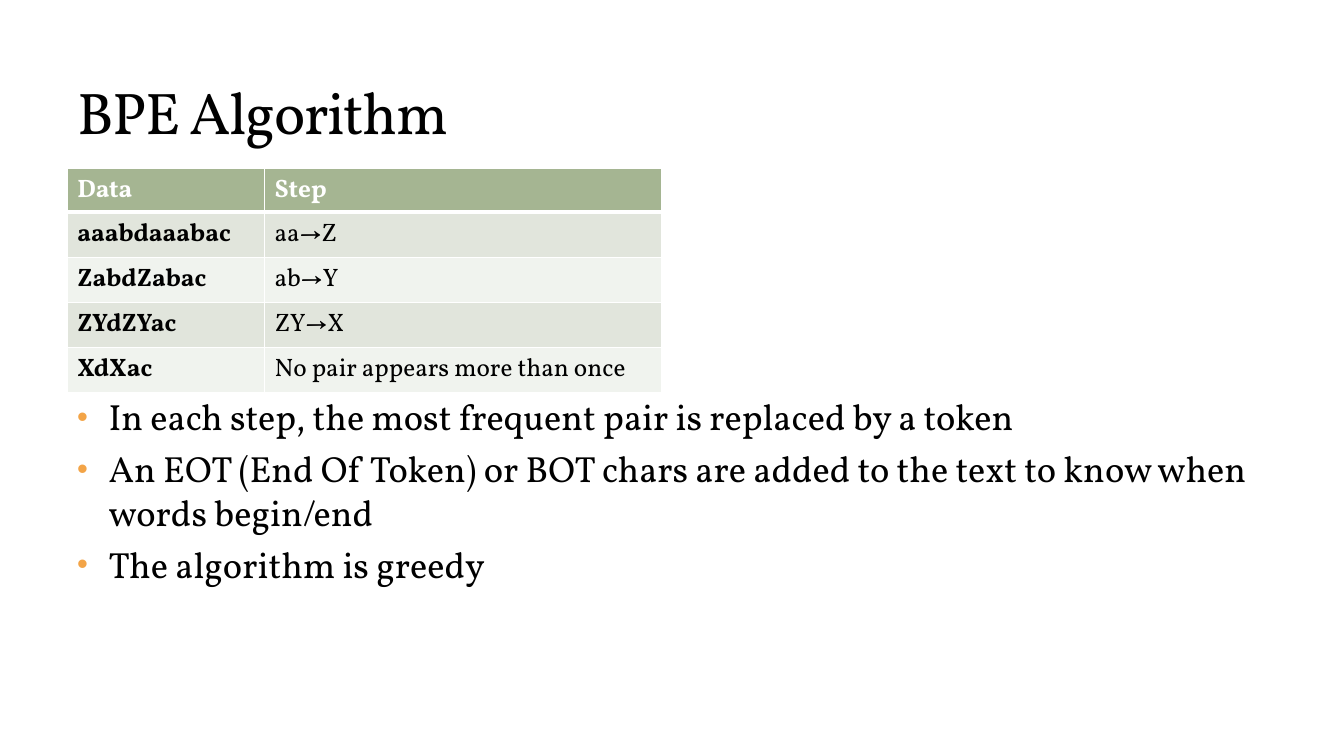
"""Build the BPE Algorithm slide: a merge-step table above three bullets."""
from lxml import etree
from pptx import Presentation
from pptx.dml.color import RGBColor
from pptx.enum.text import MSO_ANCHOR, PP_ALIGN
from pptx.oxml.ns import qn
from pptx.util import Pt

PX = 9525
FONT = "Vollkorn"
LEFT, BOTTOM = PP_ALIGN.LEFT, MSO_ANCHOR.BOTTOM
COLORS = {"text": "000000", "white": "FFFFFF", "header": "A5B592",
          "odd": "E1E5DC", "even": "F0F3EE", "bullet": "F3A447"}
STEPS = [
    ("Data", "Step"),
    ("aaabdaaabac", "aa→Z"),
    ("ZabdZabac", "ab→Y"),
    ("ZYdZYac", "ZY→X"),
    ("XdXac", "No pair appears more than once"),
]
BULLETS = [
    "In each step, the most frequent pair is replaced by a token",
    "An EOT (End Of Token) or BOT chars are added to the text to know when words begin/end",
    "The algorithm is greedy",
]
COLUMN_WIDTHS = [188, 378]
HEADER_HEIGHT, ROW_HEIGHT = 42, 43
INDENT = 30


def write(paragraph, text, size, color="text", bold=False):
    run = paragraph.add_run()
    run.text = text
    formats = {"name": FONT, "size": Pt(size), "bold": bold}
    for name, value in formats.items():
        setattr(run.font, name, value)
    run.font.color.rgb = RGBColor.from_string(COLORS[color])
    return run


def add_text_frame(left, top, width, height):
    box = slide.shapes.add_textbox(left * PX, top * PX, width * PX, height * PX)
    box.text_frame.word_wrap = True
    return box.text_frame


presentation = Presentation()
presentation.slide_width = 1280 * PX
presentation.slide_height = 720 * PX
slide = presentation.slides.add_slide(presentation.slide_layouts[6])

title = add_text_frame(64, 16, 1152, 128)
title.vertical_anchor = BOTTOM
title.paragraphs[0].alignment = LEFT
title_run = write(title.paragraphs[0], "BPE Algorithm", 42)
title_run.font._element.set("spc", "-100")

table = slide.shapes.add_table(
    len(STEPS), len(COLUMN_WIDTHS), 64 * PX, 160 * PX,
    sum(COLUMN_WIDTHS) * PX, len(STEPS) * ROW_HEIGHT * PX).table
for column, width in zip(table.columns, COLUMN_WIDTHS):
    column.width = width * PX
for row_index, step in enumerate(STEPS):
    is_header = row_index == 0
    table.rows[row_index].height = (HEADER_HEIGHT if is_header else ROW_HEIGHT) * PX
    fill = "header" if is_header else ("even", "odd")[row_index % 2]
    for column_index, text in enumerate(step):
        cell = table.cell(row_index, column_index)
        cell.fill.solid()
        cell.fill.fore_color.rgb = RGBColor.from_string(COLORS[fill])
        write(cell.text_frame.paragraphs[0], text, 18,
              "white" if is_header else "text", is_header or column_index == 0)
        borders = {"lnL": 1, "lnR": 1, "lnT": 3 if row_index == 1 else 1,
                   "lnB": 3 if is_header else 1}
        for position, (side, points) in enumerate(borders.items()):
            line = etree.Element(qn(f"a:{side}"), w=str(Pt(points)))
            line_fill = etree.SubElement(line, qn("a:solidFill"))
            etree.SubElement(line_fill, qn("a:srgbClr"), val=COLORS["white"])
            cell._tc.get_or_add_tcPr().insert(position, line)

body = add_text_frame(64, 371, 1152, 270)
for index, text in enumerate(BULLETS):
    paragraph = body.add_paragraph() if index else body.paragraphs[0]
    paragraph.space_before = Pt(6 if index else 0)
    properties = paragraph._p.get_or_add_pPr()
    properties.set("marL", str(INDENT * PX))
    properties.set("indent", str(-INDENT * PX))
    bullet_color = etree.SubElement(properties, qn("a:buClr"))
    etree.SubElement(bullet_color, qn("a:srgbClr"), val=COLORS["bullet"])
    etree.SubElement(properties, qn("a:buSzPct"), val="85000")
    etree.SubElement(properties, qn("a:buFont"), typeface="Arial")
    etree.SubElement(properties, qn("a:buChar"), char="•")
    write(paragraph, text, 26)

presentation.save("out.pptx")
